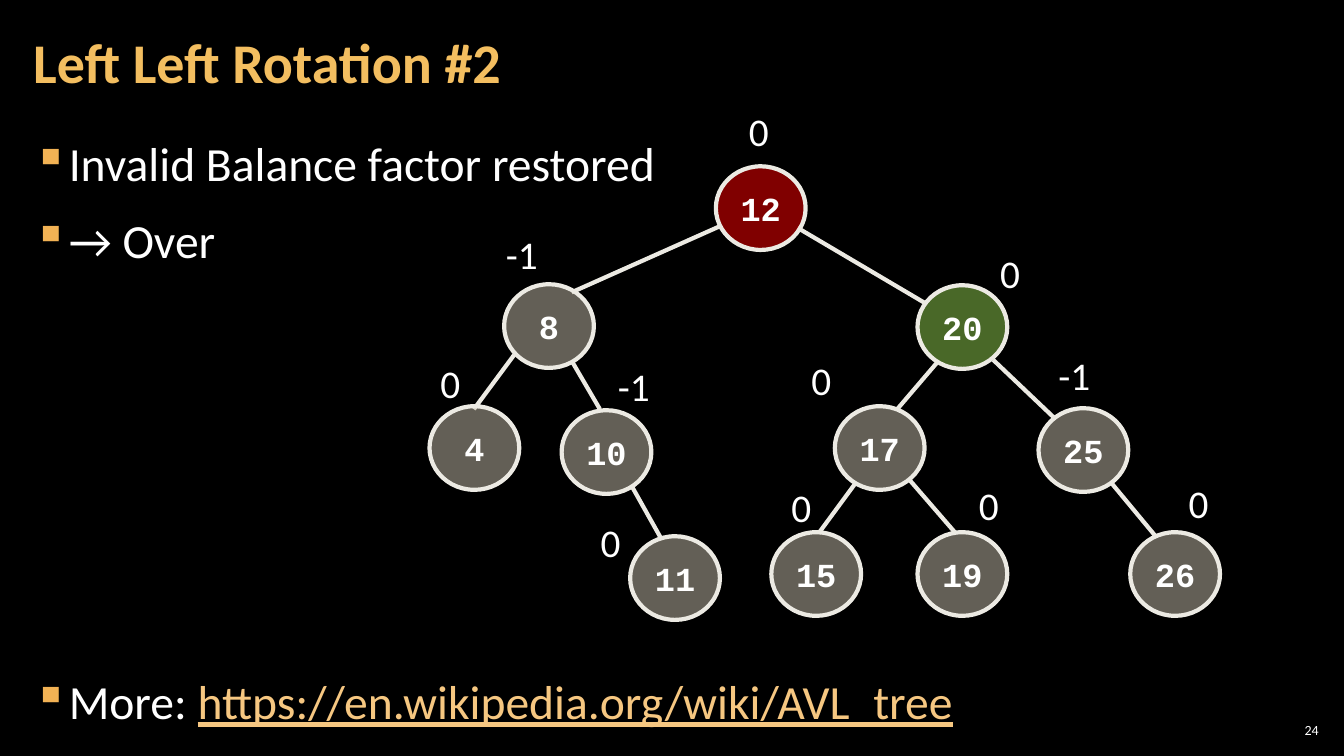
from dataclasses import dataclass

import pptx
import pptx.dml.color
import pptx.enum.shapes
import pptx.enum.text
import pptx.oxml
import pptx.oxml.ns
import pptx.util
from pptx.util import Inches

ANCHOR = pptx.enum.text.MSO_ANCHOR
ALIGN = pptx.enum.text.PP_ALIGN


@dataclass(frozen=True)
class Theme:
    background: str = "000000"
    text: str = "FFFFFF"
    title: str = "F3BE60"
    bullet: str = "F2B254"
    link: str = "F6C781"
    outline: str = "ECEAE3"
    node: str = "C7BFAC"
    root: str = "FF0000"
    rotated: str = "92D050"
    body_font: str = "Calibri"
    node_font: str = "Courier New"
    title_size: int = 40
    body_size: int = 34
    factor_size: int = 28
    node_size: int = 24
    number_size: int = 10
    line_width: int = 3


THEME = Theme()
NODE_WIDTH, NODE_HEIGHT = 0.89, 0.83


@dataclass(frozen=True)
class Node:
    key: str
    position: tuple
    factor: str
    factor_position: tuple
    edge: tuple = ()  # line from the parent: x1, y1, x2, y2
    color: str = THEME.node


TREE = [
    Node("12", (7.1, 1.65), "0", (7.33, 1.02), color=THEME.root),
    Node("8", (5, 2.82), "-1", (4.92, 2.24), (7.15, 2.24, 5.67, 2.9)),
    Node("20", (9.1, 2.83), "0", (9.82, 2.42), (7.91, 2.26, 9.18, 3.01), THEME.rotated),
    Node("4", (4.26, 4.03), "0", (4.27, 3.52), (5.1, 3.52, 4.7, 4.06)),
    Node("10", (5.57, 4.07), "-1", (6.03, 3.55), (5.67, 3.58, 5.95, 4.06)),
    Node("17", (8.28, 4.03), "0", (7.95, 3.49), (9.3, 3.59, 8.89, 4.07)),
    Node("25", (10.3, 4.05), "-1", (10.4, 3.44), (9.85, 3.57, 10.45, 4.14)),
    Node("11", (6.25, 5.32), "0", (5.86, 5.09), (6.27, 4.83, 6.55, 5.33)),
    Node("15", (7.65, 5.28), "0", (7.75, 4.75), (8.48, 4.8, 8.12, 5.29)),
    Node("19", (9.1, 5.28), "0", (9.61, 4.73), (9.02, 4.76, 9.47, 5.28)),
    Node("26", (11.21, 5.28), "0", (11.69, 4.71), (11.03, 4.8, 11.47, 5.33)),
]


def rgb(color):
    return pptx.dml.color.RGBColor.from_string(color)


def add_element(parent, tag, **attributes):
    element = pptx.oxml.parse_xml(f"<{tag} {pptx.oxml.ns.nsdecls('a')}/>")
    for name, value in attributes.items():
        element.set(name, value)
    parent.append(element)
    return element


def add_bullet(paragraph):
    properties = paragraph._p.get_or_add_pPr()
    indent = Inches(0.33)
    properties.set("marL", str(indent))
    properties.set("indent", str(-indent))
    bullet_color = add_element(properties, "a:buClr")
    add_element(bullet_color, "a:srgbClr", val=THEME.bullet)
    add_element(properties, "a:buChar", char="▪")


def add_run(paragraph, text, *, size, color=THEME.text, font=THEME.body_font,
            bold=False, underline=False):
    run = paragraph.add_run()
    run.text = text
    run.font.size = pptx.util.Pt(size)
    run.font.name = font
    run.font.color.rgb = rgb(color)
    run.font.bold = bold
    run.font.underline = underline


def write(frame, paragraphs, *, align=ALIGN.LEFT, anchor=ANCHOR.TOP, wrap=True,
          insets=None, spacing=None, gap=0, bullets=False, **font):
    """Fill a frame; each paragraph is a list of (text, font overrides) runs."""
    frame.word_wrap = wrap
    frame.vertical_anchor = anchor
    if insets:
        side, end = map(Inches, insets)
        frame.margin_left = frame.margin_right = side
        frame.margin_top = frame.margin_bottom = end
    for index, runs in enumerate(paragraphs):
        paragraph = frame.add_paragraph() if index else frame.paragraphs[0]
        paragraph.alignment = align
        if spacing:
            paragraph.line_spacing = spacing
        if index:
            paragraph.space_before = pptx.util.Pt(gap)
        paragraph.space_after = pptx.util.Pt(gap)
        if bullets:
            add_bullet(paragraph)
        for text, overrides in runs:
            add_run(paragraph, text, **{**font, **overrides})


def add_text(slide, box, paragraphs, **formatting):
    shape = slide.shapes.add_textbox(*map(Inches, box))
    write(shape.text_frame, paragraphs, **formatting)


def add_bullets(slide, box, paragraphs):
    add_text(slide, box, paragraphs, size=THEME.body_size, insets=(0.12, 0.04),
             spacing=1.05, gap=6, bullets=True)


def style_line(line):
    line.color.rgb = rgb(THEME.outline)
    line.width = pptx.util.Pt(THEME.line_width)


def add_edge(slide, ends):
    connector = slide.shapes.add_connector(
        pptx.enum.shapes.MSO_CONNECTOR.STRAIGHT, *map(Inches, ends))
    style_line(connector.line)
    add_element(connector._element.spPr, "a:effectLst")


def add_node(slide, node):
    shape = slide.shapes.add_shape(
        pptx.enum.shapes.MSO_SHAPE.OVAL,
        *map(Inches, (*node.position, NODE_WIDTH, NODE_HEIGHT)))
    shape.shadow.inherit = False
    shape.fill.solid()
    shape.fill.fore_color.rgb = rgb(node.color)
    fill_color = shape._element.spPr.find(".//" + pptx.oxml.ns.qn("a:srgbClr"))
    add_element(fill_color, "a:alpha", val="50000")
    style_line(shape.line)
    write(shape.text_frame, [[(node.key, {})]], align=ALIGN.CENTER,
          anchor=ANCHOR.MIDDLE, wrap=False, size=THEME.node_size,
          font=THEME.node_font, bold=True)


def add_factor(slide, node):
    width = 0.42 if node.factor == "0" else 0.54
    add_text(slide, (*node.factor_position, width, 0.57), [[(node.factor, {})]],
             size=THEME.factor_size)


def main():
    presentation = pptx.Presentation()
    presentation.slide_width = Inches(13.33)
    presentation.slide_height = Inches(7.5)
    slide = presentation.slides.add_slide(presentation.slide_layouts[6])
    slide.background.fill.solid()
    slide.background.fill.fore_color.rgb = rgb(THEME.background)

    add_text(slide, (0.21, 0.04, 10.47, 1.21), [[("Left Left Rotation #2", {})]],
             anchor=ANCHOR.MIDDLE, insets=(0.12, 0.04), spacing=0.9,
             size=THEME.title_size, color=THEME.title, bold=True)
    add_bullets(slide, (0.21, 1.26, 6.8, 1.6),
                [[("Invalid Balance factor restored", {})], [("→ Over", {})]])
    link = {"color": THEME.link, "underline": True}
    add_bullets(slide, (0.21, 6.6, 12, 0.75),
                [[("More: ", {}), ("https://en.wikipedia.org/wiki/AVL_tree", link)]])
    add_text(slide, (12.65, 7.14, 0.47, 0.21), [[("24", {})]], align=ALIGN.RIGHT,
             anchor=ANCHOR.MIDDLE, insets=(0.04, 0.04), size=THEME.number_size)

    for node in TREE:
        if node.edge:
            add_edge(slide, node.edge)
    for node in TREE:
        add_node(slide, node)
        add_factor(slide, node)

    presentation.save("out.pptx")


if __name__ == "__main__":
    main()
